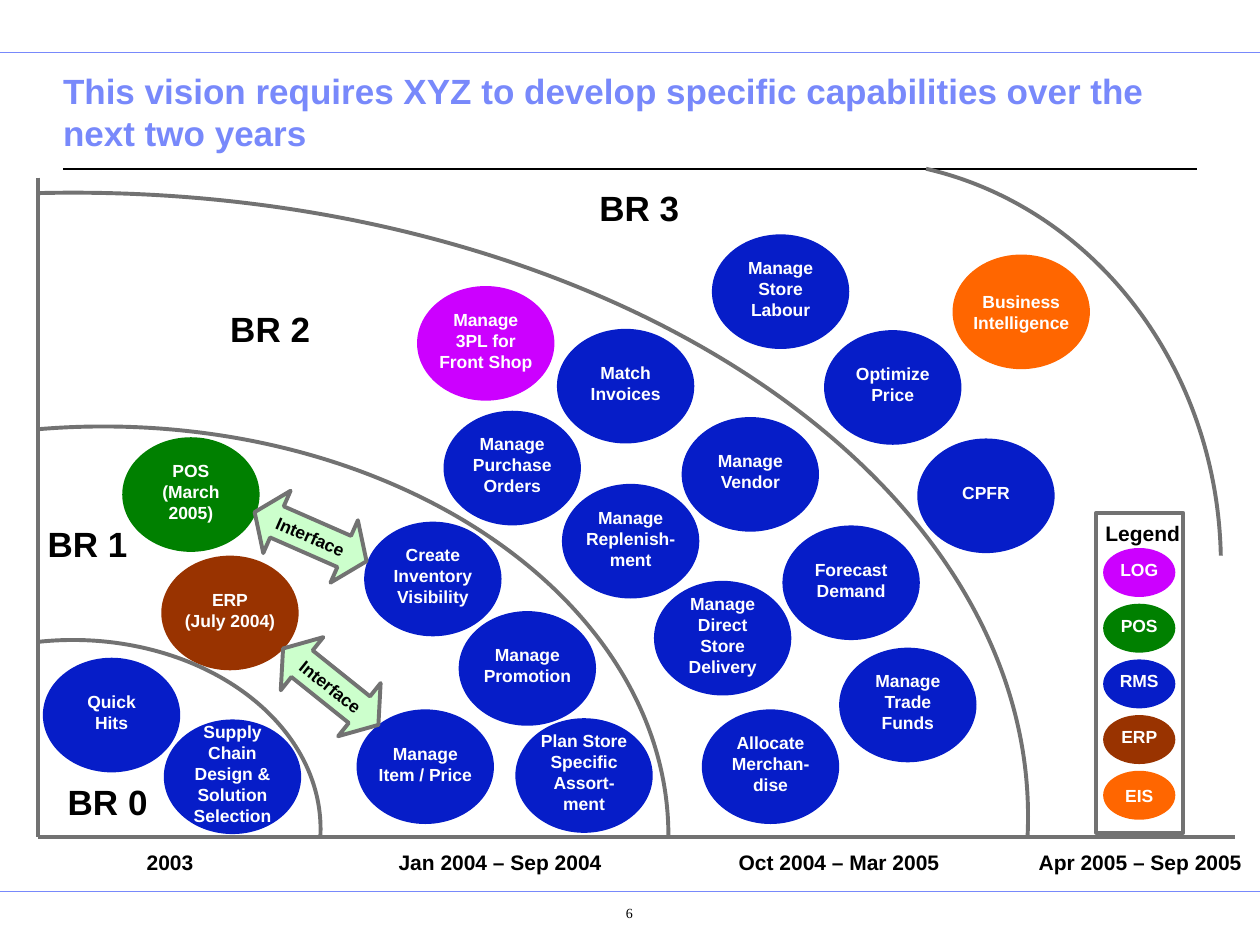
from dataclasses import dataclass
from math import atan2, cos, degrees, acos, asin, sin

from lxml.etree import SubElement
from pptx import Presentation
from pptx.dml.color import RGBColor
from pptx.enum.shapes import MSO_CONNECTOR, MSO_SHAPE
from pptx.enum.text import MSO_ANCHOR, MSO_AUTO_SIZE, PP_ALIGN
from pptx.oxml.ns import qn
from pptx.util import Inches, Pt

COLORS = {"LOG": "CC00FF", "POS": "008000", "RMS": "061DC8", "ERP": "993300",
          "EIS": "FF6600", "white": "FFFFFF", "black": "000000",
          "title": "7889FB", "axis": "727272", "arrow": "CCFFCC"}
COLS, ROWS = 95, 52.3  # grid of the roadmap
BUBBLE = (10.9, 9.1)

# Label, label cell, arc (center, radii, start column, end row), bubbles
PHASES = [
    ("BR 3", (43.6, 0.2), ((64.4, 30.7), (29.5, 32.1), 70.5, 30), [
        (53.5, 4.5, "RMS", "Manage Store Labour"),
        (72.6, 6.1, "EIS", "Business Intelligence"),
        (62.4, 12.1, "RMS", "Optimize Price"),
        (69.8, 20.7, "RMS", "CPFR")]),
    ("BR 2", (14.3, 9.8), ((2.8, 50.7), (75.8, 49.5), 0, ROWS), [
        (30.1, 8.6, "LOG", "Manage 3PL for Front Shop"),
        (41.2, 12, "RMS", "Match\nInvoices"),
        (32.2, 18.5, "RMS", "Manage Purchase Orders"),
        (51.1, 19, "RMS", "Manage Vendor"),
        (41.6, 24.3, "RMS", "Manage\nReplenish-ment"),
        (59.1, 27.6, "RMS", "Forecast Demand"),
        (48.9, 32, "RMS", "Manage Direct Store Delivery"),
        (63.6, 37.3, "RMS", "Manage\nTrade\nFunds"),
        (52.7, 42.2, "RMS", "Allocate Merchan-dise")]),
    ("BR 1", (-0.2, 26.8), ((5.2, 52.2), (44.85, 32.45), 0, ROWS), [
        (6.7, 20.6, "POS", "POS\n(March 2005)"),
        (9.8, 30, "ERP", "ERP\n(July 2004)"),
        (25.9, 27.3, "RMS", "Create Inventory Visibility"),
        (33.4, 34.4, "RMS", "Manage Promotion"),
        (25.3, 42.2, "RMS", "Manage Item / Price"),
        (37.9, 42.9, "RMS", "Plan Store Specific Assort- ment")]),
    ("BR 0", (1.4, 47.3), ((2.8, 51.7), (19.65, 15), 0, ROWS), [
        (0.4, 38.1, "RMS", "Quick\nHits"),
        (10, 43, "RMS", "Supply Chain\nDesign & Solution Selection")]),
]
INTERFACES = [(18.4, 37.7, 38.7), (16.8, 25.8, 23.7)]
PERIODS = [(10.5, "2003"), (36.7, "Jan 2004 – Sep 2004"),
           (63.6, "Oct 2004 – Mar 2005"), (87.5, "Apr 2005 – Sep 2005")]


@dataclass
class Box:
    x: float
    y: float
    w: float
    h: float

    def cell(self, col, row, cols, rows):
        """Box that starts at a grid cell and spans cols by rows."""
        cw, rh = self.w / COLS, self.h / ROWS
        return Box(self.x + col * cw, self.y + row * rh, cols * cw, rows * rh)

    def share(self, x, y, w, h):
        return Box(self.x + x * self.w, self.y + y * self.h, w * self.w, h * self.h)

    def emu(self):
        return [Inches(v) for v in (self.x, self.y, self.w, self.h)]


def rgb(name):
    return RGBColor.from_string(COLORS[name])


def write(sp, text, size, color="black", bold=True, font="Arial",
          align=PP_ALIGN.CENTER, anchor=MSO_ANCHOR.MIDDLE, wrap=True,
          insets=(0, 0, 0, 0.05)):
    tf = sp.text_frame
    tf.auto_size = MSO_AUTO_SIZE.NONE
    tf.word_wrap, tf.vertical_anchor = wrap, anchor
    tf.margin_left, tf.margin_top, tf.margin_right, tf.margin_bottom = map(Inches, insets)
    for i, line in enumerate(text.split("\n")):
        p = tf.add_paragraph() if i else tf.paragraphs[0]
        p.alignment = align
        r = p.add_run()
        r.text = line
        r.font.name, r.font.size, r.font.bold = font, Pt(size), bold
        r.font.color.rgb = rgb(color)


def add_label(s, box, text, size):
    write(s.shapes.add_textbox(*box.emu()), text, size, wrap=False,
          insets=(0.1, 0.05, 0.1, 0.05))


def outline(sp, color="axis", width=2.25):
    sp.line.color.rgb = rgb(color)
    sp.line.width = Pt(width)


def add_preset(s, kind, box, fill=None, lined=False):
    sp = s.shapes.add_shape(kind, *box.emu())
    sp.shadow.inherit = False
    if fill:
        sp.fill.solid()
        sp.fill.fore_color.rgb = rgb(fill)
    else:
        sp.fill.background()
    if lined:
        outline(sp)
    else:
        sp.line.fill.background()
    return sp


def add_bubble(s, box, system, text):
    sp = add_preset(s, MSO_SHAPE.OVAL, box, system)
    write(sp, text, 10, "white", insets=(0, 0, 0, 0 if system == "EIS" else 0.05))


def add_rule(s, x1, y1, x2, y2, color="axis", width=2.25):
    line = s.shapes.add_connector(MSO_CONNECTOR.STRAIGHT, *map(Inches, (x1, y1, x2, y2)))
    outline(line, color, width)
    SubElement(line._element.spPr, qn("a:effectLst"))


def add_arc(s, box, center, radii, start_col, end_row):
    """Elliptical arc running clockwise from a column to a row of the grid."""
    (cx, cy), (rx, ry) = center, radii
    sp = add_preset(s, MSO_SHAPE.ARC, box.cell(cx - rx, cy - ry, 2 * rx, 2 * ry),
                    lined=True)
    ends = -acos((start_col - cx) / rx), asin((end_row - cy) / ry)
    for i, a in enumerate(ends):
        angle = degrees(atan2(ry * sin(a), rx * cos(a))) % 360
        sp.adjustments[i] = angle * 0.6  # 60000ths of a degree over 100000


def add_frame(s, page):
    for share in (0.056, 0.943):
        add_rule(s, page.x, page.h * share, page.w, page.h * share, "title", 0.5)
    title = page.share(0.05, 0.085, 0.9, 0.084)
    rule_y = page.h * 0.179
    add_rule(s, title.x, rule_y, title.x + title.w, rule_y, "black", 0.75)
    sp = s.shapes.title
    sp.left, sp.top, sp.width, sp.height = title.emu()
    write(sp, "This vision requires XYZ to develop specific capabilities over the next two years",
          20, "title", align=PP_ALIGN.LEFT, anchor=MSO_ANCHOR.BOTTOM,
          insets=(0, 0.05, 0, 0.05))
    number = s.shapes.add_textbox(*page.share(0.427, 0.948, 0.115, 0.047).emu())
    write(number, "6", 8, bold=False, font="Times New Roman",
          anchor=MSO_ANCHOR.TOP, insets=(0.4, 0.07, 0.1, 0.05))


def add_phase(s, box, label, label_cell, arc, bubbles):
    add_arc(s, box, *arc)
    for col, row, system, text in bubbles:
        add_bubble(s, box.cell(col, row, *BUBBLE), system, text)
    add_label(s, box.cell(*label_cell, 8.3, 4.4), label, 20)


def add_roadmap(s, box):
    for phase in PHASES:
        add_phase(s, box, *phase)
    bottom = box.y + box.h
    add_rule(s, box.x, bottom, box.x + box.w, bottom)
    add_rule(s, box.x, box.y, box.x, bottom)
    for col, row, angle in INTERFACES:
        sp = add_preset(s, MSO_SHAPE.LEFT_RIGHT_ARROW, box.cell(col, row, 9.7, 5.4),
                        "arrow", lined=True)
        sp.adjustments[0], sp.adjustments[1] = 0.5, 0.358
        sp.rotation = angle
        write(sp, "Interface", 10, wrap=False, insets=(0.1, 0.05, 0.1, 0.05))
    for center, text in PERIODS:
        add_label(s, box.cell(center - 9, 52.8, 18, 3), text, 12)


def add_legend(s, box):
    add_preset(s, MSO_SHAPE.RECTANGLE, box, lined=True)
    add_label(s, box.share(-0.07, 0.005, 1.21, 0.12), "Legend", 12)
    for i, system in enumerate(("LOG", "POS", "RMS", "ERP", "EIS")):
        add_bubble(s, box.share(0.08, 0.11 + i * 0.174, 0.83, 0.153), system, system)


def main():
    prs = Presentation()
    prs.slide_width, prs.slide_height = Inches(10), Inches(7.5)
    s = prs.slides.add_slide(prs.slide_layouts[5])
    add_frame(s, Box(0, 0, 10, 7.5))
    roadmap = Box(0.3, 1.41, 9.5, 5.23)
    add_roadmap(s, roadmap)
    add_legend(s, roadmap.cell(84, 26.6, 6.9, 25.4))
    prs.save("out.pptx")


if __name__ == "__main__":
    main()
